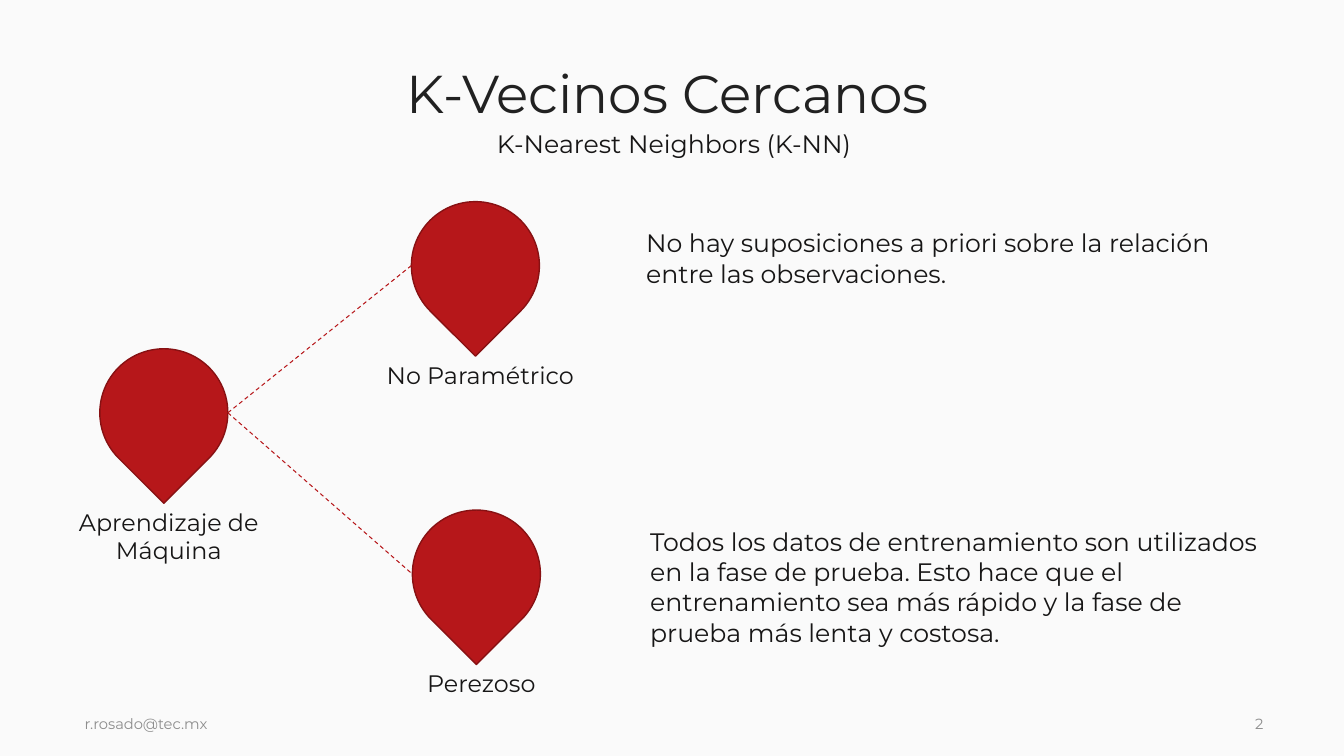
from lxml import etree
from pptx import Presentation
from pptx import util as u
from pptx.dml.color import RGBColor
from pptx.enum import dml, shapes, text
from pptx.oxml import ns

COLORS = {
    "background": "FAFAFA",
    "title": "212121",
    "body": "171616",
    "footer": "8D8D8D",
    "pin": "B6171A",
    "pin_edge": "871113",
}
FONT = "Montserrat"
PIN_SIZE = 1.27
LABEL_SIZE = (2.09, 0.79)
MIDDLE = text.MSO_ANCHOR.MIDDLE
CENTER = text.PP_ALIGN.CENTER
LEFT = text.PP_ALIGN.LEFT


def rgb(name):
    """Return the named colour."""
    return RGBColor.from_string(COLORS[name])


def write(sp, words, size, color="body", align=LEFT, anchor=text.MSO_ANCHOR.TOP):
    """Fill a shape with one formatted paragraph."""
    tf = sp.text_frame
    tf.word_wrap = True
    tf.vertical_anchor = anchor
    tf.text = words
    p = tf.paragraphs[0]
    p.alignment = align
    font = p.runs[0].font
    font.name = FONT
    font.size = u.Pt(size)
    font.color.rgb = rgb(color)
    return tf


def add_text(s, box, words, size, **style):
    """Add a text box at a box given in inches."""
    sp = s.shapes.add_textbox(*map(u.Inches, box))
    return write(sp, words, size, **style)


def add_heading(s, left, top, width):
    """Place the title and its subtitle."""
    title = s.shapes.title
    title.left, title.top = u.Inches(left), u.Inches(top)
    title.width, title.height = u.Inches(width), u.Inches(0.89)
    tf = write(title, "K-Vecinos Cercanos", 38, "title", CENTER, MIDDLE)
    tf.paragraphs[0].line_spacing = 0.9
    add_text(s, (left + 0.12, top + 0.71, width - 0.12, 0.4),
             "K-Nearest Neighbors (K-NN)", 18, align=CENTER)


def add_pin(s, left, top, label, label_drop=1.32):
    """Add a downward pin with a label centred beneath it."""
    sp = s.shapes.add_shape(shapes.MSO_SHAPE.TEAR, u.Inches(left), u.Inches(top),
                            u.Inches(PIN_SIZE), u.Inches(PIN_SIZE))
    sp.rotation = 135
    sp.shadow.inherit = False
    sp.fill.solid()
    sp.fill.fore_color.rgb = rgb("pin")
    sp.line.color.rgb = rgb("pin_edge")
    sp.line.width = u.Pt(1)
    label_left = left + (PIN_SIZE - LABEL_SIZE[0]) / 2
    tf = add_text(s, (label_left, top + label_drop, *LABEL_SIZE), label, 17,
                  align=CENTER, anchor=MIDDLE)
    tf.margin_top = tf.margin_right = tf.margin_bottom = 0
    return sp


def add_branch(s, parent, child):
    """Join the right side of one pin to the left side of another."""
    line = s.shapes.add_connector(
        shapes.MSO_CONNECTOR.STRAIGHT,
        parent.left + parent.width, parent.top + parent.height // 2,
        child.left, child.top + child.height // 2)
    line.line.color.rgb = rgb("pin")
    line.line.width = u.Pt(0.75)
    line.line.dash_style = dml.MSO_LINE.DASH
    etree.SubElement(line._element.spPr, ns.qn("a:effectLst"))


def add_tree(s, left, top):
    """Draw the root pin, its two branches and their descriptions."""
    root = add_pin(s, left, top + 1.46, "Aprendizaje de Máquina", label_drop=1.46)
    branches = [
        (3.09, 0, "No Paramétrico", (5.32, 0.21, 6.3, 0.71),
         "No hay suposiciones a priori sobre la relación entre las observaciones."),
        (3.1, 3.06, "Perezoso", (5.36, 3.17, 6.3, 1.31),
         "Todos los datos de entrenamiento son utilizados en la fase de prueba. "
         "Esto hace que el entrenamiento sea más rápido y la fase de prueba más "
         "lenta y costosa."),
    ]
    for dx, dy, label, (x, y, width, height), description in branches:
        pin = add_pin(s, left + dx, top + dy, label)
        add_branch(s, root, pin)
        add_text(s, (left + x, top + y, width, height), description, 18)


def add_footer(s, top, height):
    """Place the contact address and the page number."""
    for left, width, words in [(0.74, 7.66, "r.rosado@tec.mx"), (12.35, 0.39, "2")]:
        add_text(s, (left, top, width, height), words, 10.5,
                 color="footer", anchor=MIDDLE)


def main():
    """Build and save the slide."""
    prs = Presentation()
    prs.slide_width, prs.slide_height = u.Inches(13.33), u.Inches(7.5)
    s = prs.slides.add_slide(prs.slide_layouts[5])
    s.background.fill.solid()
    s.background.fill.fore_color.rgb = rgb("background")
    add_heading(s, 0.64, 0.51, 11.97)
    add_tree(s, 0.99, 2)
    add_footer(s, 6.86, 0.64)
    prs.save("out.pptx")


if __name__ == "__main__":
    main()
